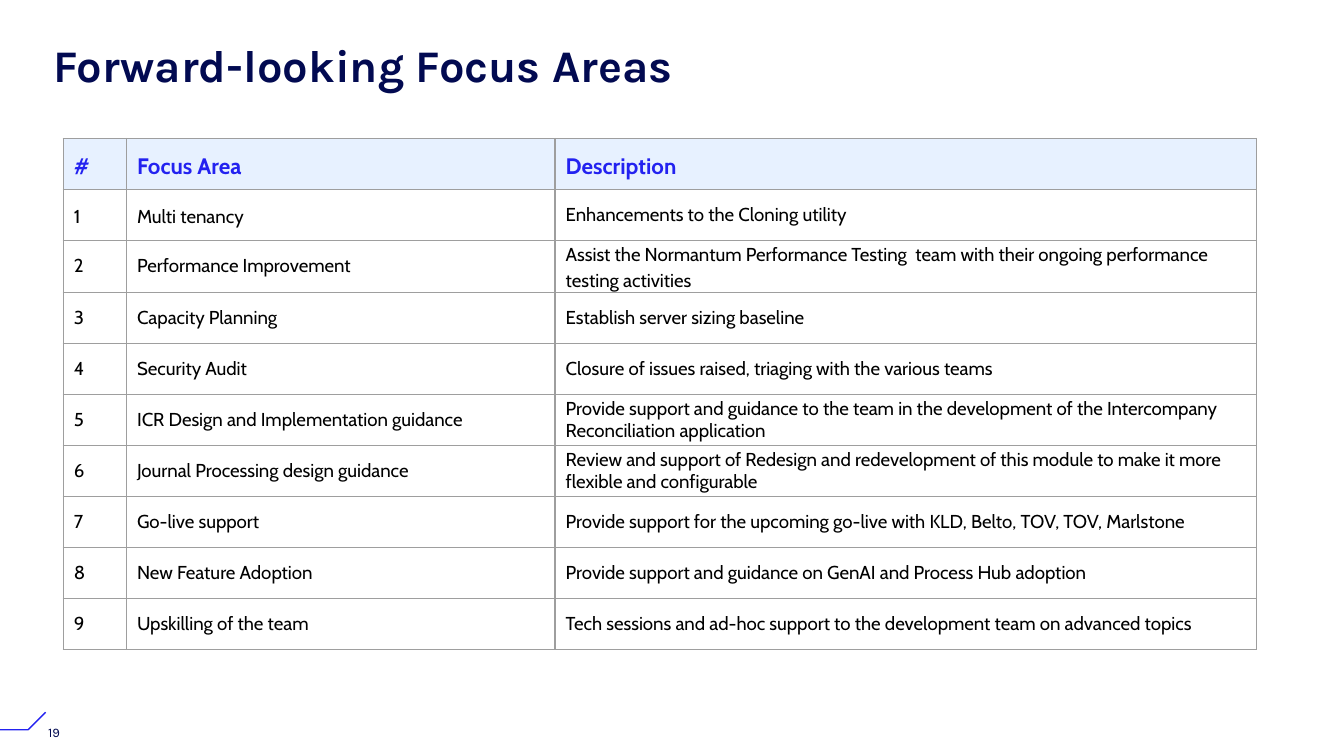
from dataclasses import dataclass

from lxml import etree
from pptx import Presentation
from pptx.dml.color import RGBColor
from pptx.enum import text
from pptx.oxml import ns
from pptx.util import Inches, Pt


@dataclass(frozen=True)
class Theme:
    navy: str = "020A51"
    blue: str = "2322F0"
    pale: str = "E7F1FF"
    black: str = "000000"
    grid: str = "9E9E9E"
    heading_font: str = "Karla"
    body_font: str = "Cabin"
    title_size: float = 24.2
    header_size: float = 12
    body_size: float = 10
    number_size: float = 7
    line_width: float = 0.75


THEME = Theme()
HEADERS = ("#", "Focus Area", "Description")
FOCUS_AREAS = (
    ("Multi tenancy", "Enhancements to the Cloning utility"),
    ("Performance Improvement",
     "Assist the Normantum Performance Testing  team with their ongoing performance "
     "testing activities"),
    ("Capacity Planning", "Establish server sizing baseline"),
    ("Security Audit", "Closure of issues raised, triaging with the various teams"),
    ("ICR Design and Implementation guidance",
     "Provide support and guidance to the team in the development of the Intercompany "
     "Reconciliation application"),
    ("Journal Processing design guidance",
     "Review and support of Redesign and redevelopment of this module to make it more "
     "flexible and configurable"),
    ("Go-live support",
     "Provide support for the upcoming go-live with KLD, Belto, TOV, TOV, Marlstone"),
    ("New Feature Adoption",
     "Provide support and guidance on GenAI and Process Hub adoption"),
    ("Upskilling of the team",
     "Tech sessions and ad-hoc support to the development team on advanced topics"),
)
COLUMN_WIDTHS = (0.47, 3.19, 5.22)
ROW_HEIGHT = 0.38
LOOSE_SPACING = 1.15
LOOSE_CELLS = {(1, 0), (1, 1), (2, 2)}  # body cells with the header's line spacing


def style_paragraph(para, font_name, size, color, bold=False, spacing=None):
    para.alignment = text.PP_ALIGN.LEFT
    para.line_spacing = spacing
    font = para.font
    font.name = font_name
    font.size = Pt(size)
    font.bold = bold
    font.color.rgb = RGBColor.from_string(color)


def add_title(page, words):
    title = page.shapes.title
    title.left, title.top = Inches(0.3), Inches(0.27)
    title.width, title.height = Inches(8.92), Inches(0.49)
    frame = title.text_frame
    frame.text = words
    frame.auto_size = text.MSO_AUTO_SIZE.NONE
    frame.vertical_anchor = text.MSO_ANCHOR.TOP
    style_paragraph(frame.paragraphs[0], THEME.heading_font, THEME.title_size,
                    THEME.navy, bold=True, spacing=0.9)


def add_corner_line(page):
    builder = page.shapes.build_freeform(Inches(0), Inches(5.43))
    builder.add_line_segments(
        [(Inches(0.21), Inches(5.43)), (Inches(0.34), Inches(5.3))], close=False)
    corner = builder.convert_to_shape()
    corner.shadow.inherit = False
    corner.fill.background()
    corner.line.color.rgb = RGBColor.from_string(THEME.blue)
    corner.line.width = Pt(THEME.line_width)


def add_page_number(page, number):
    box = page.shapes.add_textbox(Inches(0.26), Inches(5.3), Inches(0.55), Inches(0.3))
    frame = box.text_frame
    frame.word_wrap = True
    frame.vertical_anchor = text.MSO_ANCHOR.MIDDLE
    frame.text = number
    style_paragraph(frame.paragraphs[0], THEME.heading_font, THEME.number_size, THEME.navy)


def add_borders(cell):
    properties = cell._tc.get_or_add_tcPr()
    for side in ("lnL", "lnR", "lnT", "lnB"):
        line = etree.SubElement(properties, ns.qn(f"a:{side}"), w=str(Pt(THEME.line_width)))
        fill = etree.SubElement(line, ns.qn("a:solidFill"))
        etree.SubElement(fill, ns.qn("a:srgbClr"), val=THEME.grid)


def fill_cell(cell, words, header, spacing):
    cell.text = words
    cell.vertical_anchor = text.MSO_ANCHOR.MIDDLE
    cell.margin_left = cell.margin_right = Inches(0.08)
    cell.margin_top = cell.margin_bottom = 0
    add_borders(cell)
    if header:
        cell.fill.solid()
        cell.fill.fore_color.rgb = RGBColor.from_string(THEME.pale)
        size, color = THEME.header_size, THEME.blue
    else:
        cell.fill.background()
        size, color = THEME.body_size, THEME.black
    style_paragraph(cell.text_frame.paragraphs[0], THEME.body_font, size, color,
                    bold=header, spacing=spacing)


def add_focus_table(page):
    rows = [HEADERS]
    rows += [(str(i), *area) for i, area in enumerate(FOCUS_AREAS, start=1)]
    table = page.shapes.add_table(
        len(rows), len(HEADERS), Inches(0.47), Inches(1.03),
        Inches(sum(COLUMN_WIDTHS)), Inches(ROW_HEIGHT * len(rows))).table
    table.first_row = table.horz_banding = False
    for column, width in zip(table.columns, COLUMN_WIDTHS):
        column.width = Inches(width)
    for r, row in enumerate(rows):
        table.rows[r].height = Inches(ROW_HEIGHT)
        for c, words in enumerate(row):
            header = r == 0
            loose = header or (r, c) in LOOSE_CELLS
            fill_cell(table.cell(r, c), words, header, LOOSE_SPACING if loose else None)


def main():
    deck = Presentation()
    deck.slide_width = Inches(10)
    deck.slide_height = deck.slide_width * 9 // 16
    page = deck.slides.add_slide(deck.slide_layouts[5])
    add_corner_line(page)
    add_title(page, "Forward-looking Focus Areas")
    add_page_number(page, "19")
    add_focus_table(page)
    deck.save("out.pptx")


if __name__ == "__main__":
    main()
